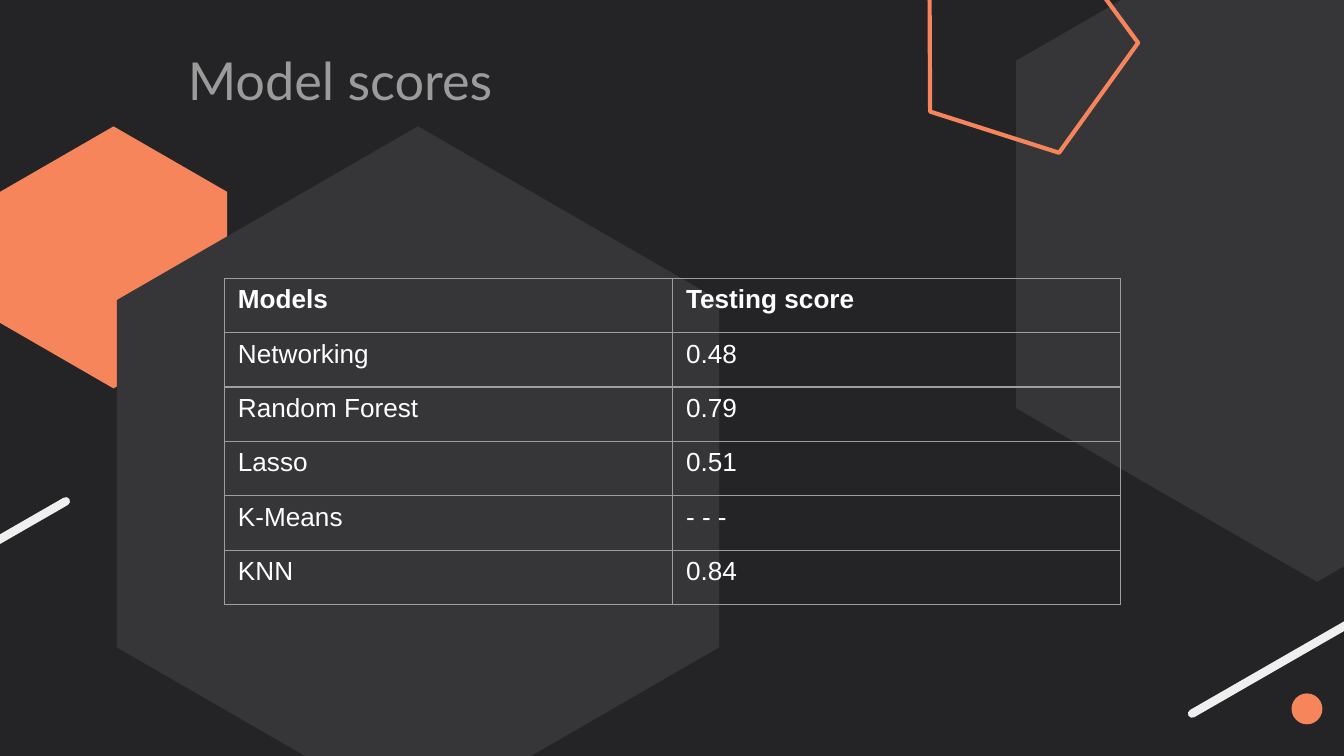
from dataclasses import dataclass

from lxml import etree
from pptx import Presentation
from pptx.dml.color import RGBColor
from pptx.enum.shapes import MSO_CONNECTOR, MSO_SHAPE
from pptx.enum.text import MSO_ANCHOR, PP_ALIGN
from pptx.oxml.ns import qn
from pptx.util import Inches, Pt

STRAIGHT = MSO_CONNECTOR.STRAIGHT
PENTAGON = MSO_SHAPE.REGULAR_PENTAGON
OVAL = MSO_SHAPE.OVAL
MIDDLE = MSO_ANCHOR.MIDDLE
CENTER = PP_ALIGN.CENTER
TITLE_ONLY_LAYOUT = 5


@dataclass(frozen=True)
class Theme:
    background: str = "242426"
    panel: str = "363639"
    accent: str = "F7855B"
    bar: str = "EFEFEF"
    title: str = "9B9B9B"
    text: str = "FFFFFF"
    border: str = "9E9E9E"
    title_font: str = "Lato"
    body_font: str = "Arial"
    title_size: int = 28
    body_size: int = 14
    outline: float = 2.25
    bar_width: float = 4.5
    border_width: float = 0.75


THEME = Theme()
SCORES = [
    ("Models", "Testing score"),
    ("Networking", "0.48"),
    ("Random Forest", "0.79"),
    ("Lasso", "0.51"),
    ("K-Means", "- - -"),
    ("KNN", "0.84"),
]


def color(value):
    return RGBColor.from_string(value)


def paint(shape, fill=None, line=None):
    shape.shadow.inherit = False
    if fill:
        shape.fill.solid()
        shape.fill.fore_color.rgb = color(fill)
    else:
        shape.fill.background()
    if line:
        shape.line.color.rgb = color(line)
        shape.line.width = Pt(THEME.outline)
    else:
        shape.line.fill.background()


def add_hexagon(slide, left, top, width, height, fill):
    """Add a point-up hexagon whose sides span the middle half of its height."""
    right, middle = left + width, left + width / 2
    upper, lower = top + height / 4, top + height * 3 / 4
    corners = [(left, upper), (left, lower), (middle, top + height),
               (right, lower), (right, upper)]
    builder = slide.shapes.build_freeform(Inches(middle), Inches(top))
    builder.add_line_segments([(Inches(x), Inches(y)) for x, y in corners])
    paint(builder.convert_to_shape(), fill=fill)


def add_bar(slide, left, bottom):
    """Add a thick rising line with round ends."""
    bar = slide.shapes.add_connector(
        STRAIGHT, Inches(left), Inches(bottom),
        Inches(left + 1.86), Inches(bottom - 1.07))
    bar.line.color.rgb = color(THEME.bar)
    bar.line.width = Pt(THEME.bar_width)
    properties = bar.element.spPr
    properties.find(qn("a:ln")).set("cap", "rnd")
    etree.SubElement(properties, qn("a:effectLst"))


def add_decoration(slide):
    shapes = slide.shapes
    add_hexagon(slide, 0, 0.94, 1.69, 1.95, THEME.accent)
    add_hexagon(slide, 0.87, 0.94, 4.48, 5.17, THEME.panel)
    add_hexagon(slide, 7.56, -0.84, 4.48, 5.17, THEME.panel)

    pentagon = shapes.add_shape(
        PENTAGON, Inches(6.73), Inches(-0.5), Inches(1.63), Inches(1.55))
    pentagon.rotation = 305.7
    paint(pentagon, line=THEME.accent)

    dot = shapes.add_shape(
        OVAL, Inches(9.61), Inches(5.16), Inches(0.23), Inches(0.23))
    paint(dot, fill=THEME.accent)

    add_bar(slide, 8.87, 5.31)
    add_bar(slide, -1.37, 4.8)


def style_paragraph(paragraph, font, size, text_color, bold=False):
    paragraph.font.name = font
    paragraph.font.size = Pt(size)
    paragraph.font.bold = bold
    paragraph.font.color.rgb = color(text_color)


def add_title(slide, text):
    title = slide.shapes.title
    title.left, title.top = Inches(-2.13), Inches(0.14)
    title.width, title.height = Inches(9.32), Inches(0.91)
    title.text = text
    title.text_frame.vertical_anchor = MIDDLE
    paragraph = title.text_frame.paragraphs[0]
    paragraph.alignment = CENTER
    style_paragraph(paragraph, THEME.title_font, THEME.title_size, THEME.title)
    # Bring the title in front of the decoration
    title.element.getparent().append(title.element)


def set_borders(cell):
    properties = cell._tc.get_or_add_tcPr()
    for index, side in enumerate(("lnL", "lnR", "lnT", "lnB")):
        line = etree.Element(qn(f"a:{side}"), w=str(Pt(THEME.border_width)))
        fill = etree.SubElement(line, qn("a:solidFill"))
        etree.SubElement(fill, qn("a:srgbClr"), val=THEME.border)
        properties.insert(index, line)


def add_score_table(slide, rows):
    table = slide.shapes.add_table(
        len(rows), len(rows[0]), Inches(1.67), Inches(2.07),
        Inches(6.67), Inches(2.43)).table
    table.horz_banding = False
    for row_index, row in enumerate(rows):
        for column_index, text in enumerate(row):
            cell = table.cell(row_index, column_index)
            cell.text = text
            cell.fill.background()
            set_borders(cell)
            style_paragraph(cell.text_frame.paragraphs[0], THEME.body_font,
                            THEME.body_size, THEME.text, bold=row_index == 0)


def main():
    presentation = Presentation()
    # Widescreen, 16 to 9
    presentation.slide_width = Inches(10)
    presentation.slide_height = Inches(10) * 9 // 16
    slide = presentation.slides.add_slide(
        presentation.slide_layouts[TITLE_ONLY_LAYOUT])
    slide.background.fill.solid()
    slide.background.fill.fore_color.rgb = color(THEME.background)

    add_decoration(slide)
    add_title(slide, "Model scores")
    add_score_table(slide, SCORES)
    presentation.save("out.pptx")


if __name__ == "__main__":
    main()
